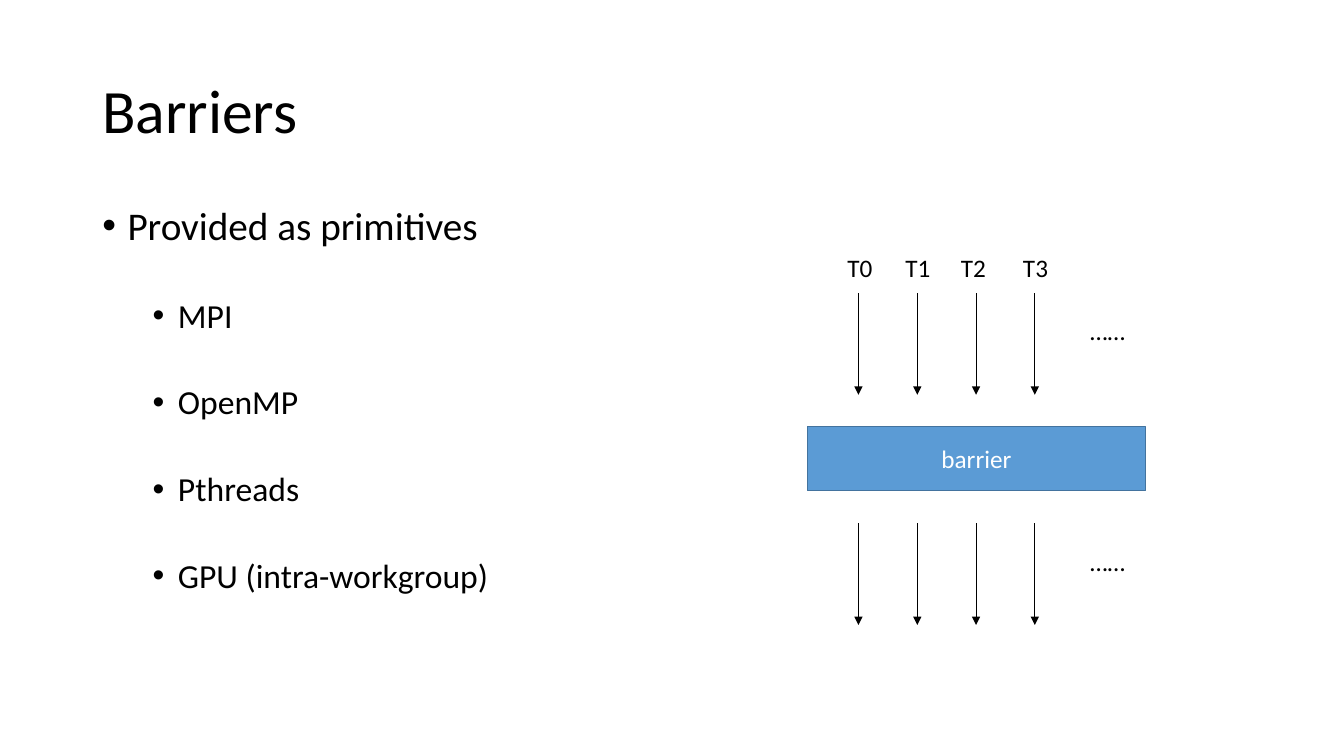
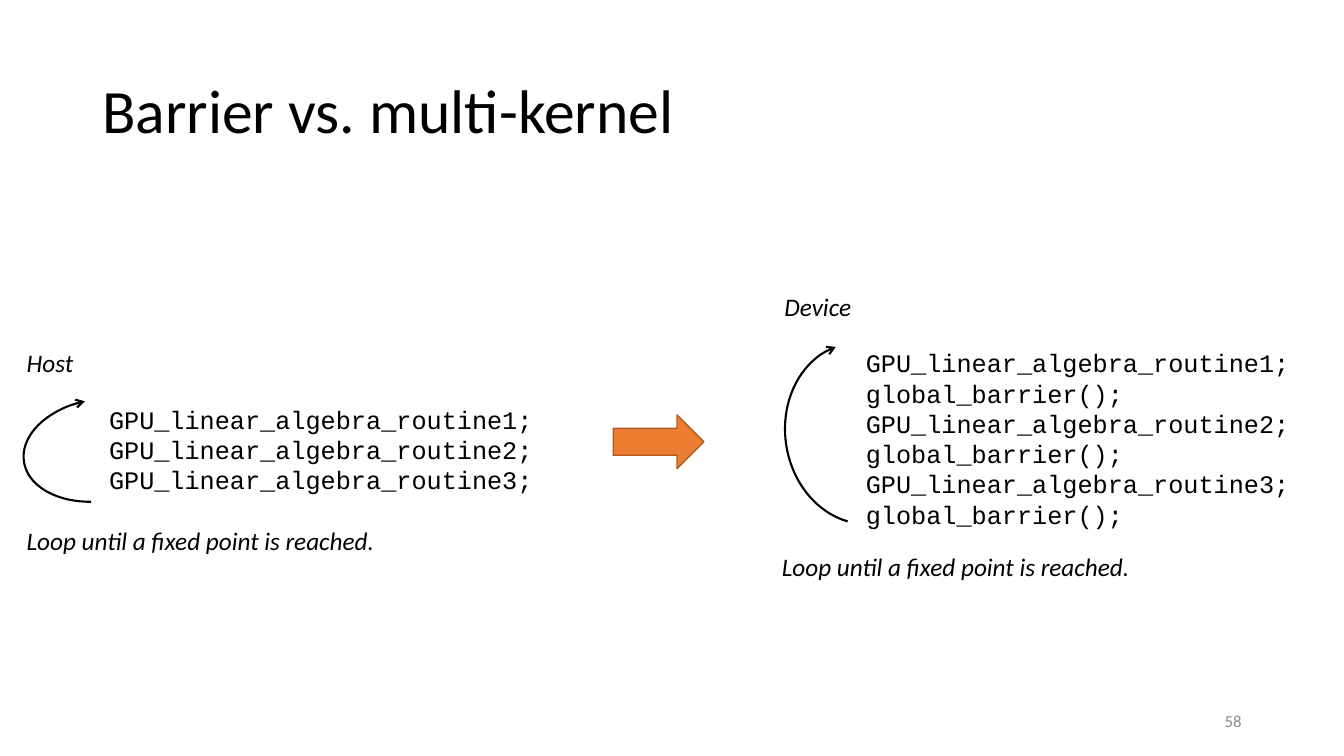
from dataclasses import dataclass

from pptx import Presentation
from pptx.dml.color import RGBColor
from pptx.enum.shapes import MSO_CONNECTOR, MSO_SHAPE
from pptx.enum.text import MSO_ANCHOR, PP_ALIGN
from pptx.oxml.ns import qn
from pptx.oxml.xmlchemy import OxmlElement
from pptx.util import Inches, Pt

TOP, MIDDLE = MSO_ANCHOR.TOP, MSO_ANCHOR.MIDDLE
LEFT, CENTER, RIGHT = PP_ALIGN.LEFT, PP_ALIGN.CENTER, PP_ALIGN.RIGHT
RECT, ARC, ARROW = MSO_SHAPE.RECTANGLE, MSO_SHAPE.ARC, MSO_SHAPE.RIGHT_ARROW
STRAIGHT = MSO_CONNECTOR.STRAIGHT
COLS, ROWS = 160, 90


@dataclass(frozen=True)
class Theme:
    sans: str = "Calibri"
    mono: str = "Courier New"
    mark: str = "Arial"
    ink: str = "000000"
    paper: str = "FFFFFF"
    gray: str = "8C8C8C"
    blue: str = "5B9BD5"
    navy: str = "43739E"
    orange: str = "ED7D31"
    rust: str = "AF5C24"
    title: int = 44
    lead: int = 28
    item: int = 24
    text: int = 18
    foot: int = 12
    thin: float = 0.5
    edge: float = 1
    bold: float = 1.5


class Deck:
    """Draws styled elements on the current slide, on a grid of 160 by 90 cells."""

    def __init__(self, theme):
        self.theme = theme
        self.prs = Presentation()
        self.prs.slide_width, self.prs.slide_height = Inches(13.33), Inches(7.5)
        self.slide = None

    def grid(self, x, y):
        return (round(x * self.prs.slide_width / COLS),
                round(y * self.prs.slide_height / ROWS))

    def box(self, x, y, w, h):
        return *self.grid(x, y), *self.grid(w, h)

    def page(self, title):
        self.slide = self.prs.slides.add_slide(self.prs.slide_layouts[6])
        frame = self.text(title, 11, 4.8, 138, 17.4, size=self.theme.title,
                          anchor=MIDDLE, wrap=True)
        frame.paragraphs[0].line_spacing = 0.9

    def style(self, frame, size=None, color=None, font=None, italic=False,
              align=LEFT):
        for para in frame.paragraphs:
            para.alignment = align
            for run in para.runs:
                run.font.name = font or self.theme.sans
                run.font.size = Pt(size or self.theme.text)
                run.font.italic = italic
                run.font.color.rgb = RGBColor.from_string(color or self.theme.ink)

    def text(self, text, x, y, w, h=4.8, anchor=TOP, wrap=False, **style):
        frame = self.slide.shapes.add_textbox(*self.box(x, y, w, h)).text_frame
        frame.word_wrap = wrap
        frame.vertical_anchor = anchor
        frame.text = text
        self.style(frame, **style)
        return frame

    def code(self, lines, x, y, w, h):
        self.text("\n".join(lines), x, y, w, h, wrap=True, font=self.theme.mono)

    def bullets(self, lead, items, x, y, w, h):
        frame = self.text("\n".join([lead, *items]), x, y, w, h, wrap=True,
                          size=self.theme.item)
        for i, para in enumerate(frame.paragraphs):
            para.line_spacing = 0.9
            para.space_before = Pt(36 if i else 10)
            props = para._p.get_or_add_pPr()
            props.set("marL", str(Inches(0.75 if i else 0.25)))
            props.set("indent", str(Inches(-0.25)))
            for tag, key, value in (("a:buFont", "typeface", self.theme.mark),
                                    ("a:buChar", "char", "•")):
                part = OxmlElement(tag)
                part.set(key, value)
                props.append(part)
        frame.paragraphs[0].runs[0].font.size = Pt(self.theme.lead)

    def stroke(self, shape, color, width, tip=None):
        shape.line.color.rgb = RGBColor.from_string(color)
        shape.line.width = Pt(width)
        if tip:
            tail = OxmlElement("a:tailEnd")
            tail.set("type", tip)
            shape.element.spPr.find(qn("a:ln")).append(tail)

    def line(self, x, top, low):
        link = self.slide.shapes.add_connector(
            STRAIGHT, *self.grid(x, top), *self.grid(x, low))
        self.stroke(link, self.theme.ink, self.theme.thin, "triangle")
        link.element.spPr.append(OxmlElement("a:effectLst"))

    def block(self, kind, x, y, w, h, fill, edge, text=""):
        shape = self.slide.shapes.add_shape(kind, *self.box(x, y, w, h))
        shape.shadow.inherit = False
        shape.fill.solid()
        shape.fill.fore_color.rgb = RGBColor.from_string(fill)
        self.stroke(shape, edge, self.theme.edge)
        if text:
            shape.text_frame.text = text
            shape.text_frame.vertical_anchor = MIDDLE
            self.style(shape.text_frame, color=self.theme.paper, align=CENTER)

    def loop(self, x, y, w, h):
        arc = self.slide.shapes.add_shape(ARC, *self.box(x, y, w, h))
        arc.shadow.inherit = False
        arc.fill.background()
        arc.rotation = 261.3
        for i, angle in enumerate((197.84, 351.95)):
            arc.adjustments[i] = angle * 0.6
        self.stroke(arc, self.theme.ink, self.theme.bold, "arrow")


def barriers(deck):
    deck.page("Barriers")
    for i, x in enumerate((99.7, 106.6, 113.2, 120.6)):
        deck.text(f"T{i}", x, 29.5, 5.4)
    for top in (34.9, 62.3):
        for i in range(4):
            deck.line(102.2 + 7 * i, top, top + 12.1)
        deck.text("……", 128.6, top + 2.1, 6.7)
    deck.block(RECT, 96.1, 50.8, 40.3, 7.6, deck.theme.blue, deck.theme.navy,
               "barrier")
    deck.bullets("Provided as primitives",
                 ["MPI", "OpenMP", "Pthreads", "GPU (intra-workgroup)"],
                 11, 24, 138, 57.1)


def kernels(deck):
    deck.page("Barrier vs. multi-kernel")
    calls = [f"GPU_linear_algebra_routine{i};" for i in (1, 2, 3)]
    synced = [row for call in calls for row in (call, "global_barrier();")]
    deck.code(calls, 11.8, 47.5, 56.5, 12.1)
    deck.code(synced, 101.9, 40.8, 56.5, 23)
    deck.loop(5.8, 44.5, 12.1, 18.2)
    deck.loop(91.8, 42.5, 21.6, 18.2)
    deck.text("Host", 2, 40.8, 8, italic=True)
    deck.text("Device", 92.2, 34.1, 10.4, italic=True)
    for x, y in ((2, 62), (91.9, 65)):
        deck.text("Loop until a fixed point is reached.", x, y, 44.8, italic=True)
    deck.block(ARROW, 73, 49.4, 10.8, 6.4, deck.theme.orange, deck.theme.rust)
    deck.text("58", 113, 83.4, 36, anchor=MIDDLE, wrap=True,
              size=deck.theme.foot, color=deck.theme.gray, align=RIGHT)


def main():
    deck = Deck(Theme())
    barriers(deck)
    kernels(deck)
    deck.prs.save("out.pptx")


if __name__ == "__main__":
    main()
